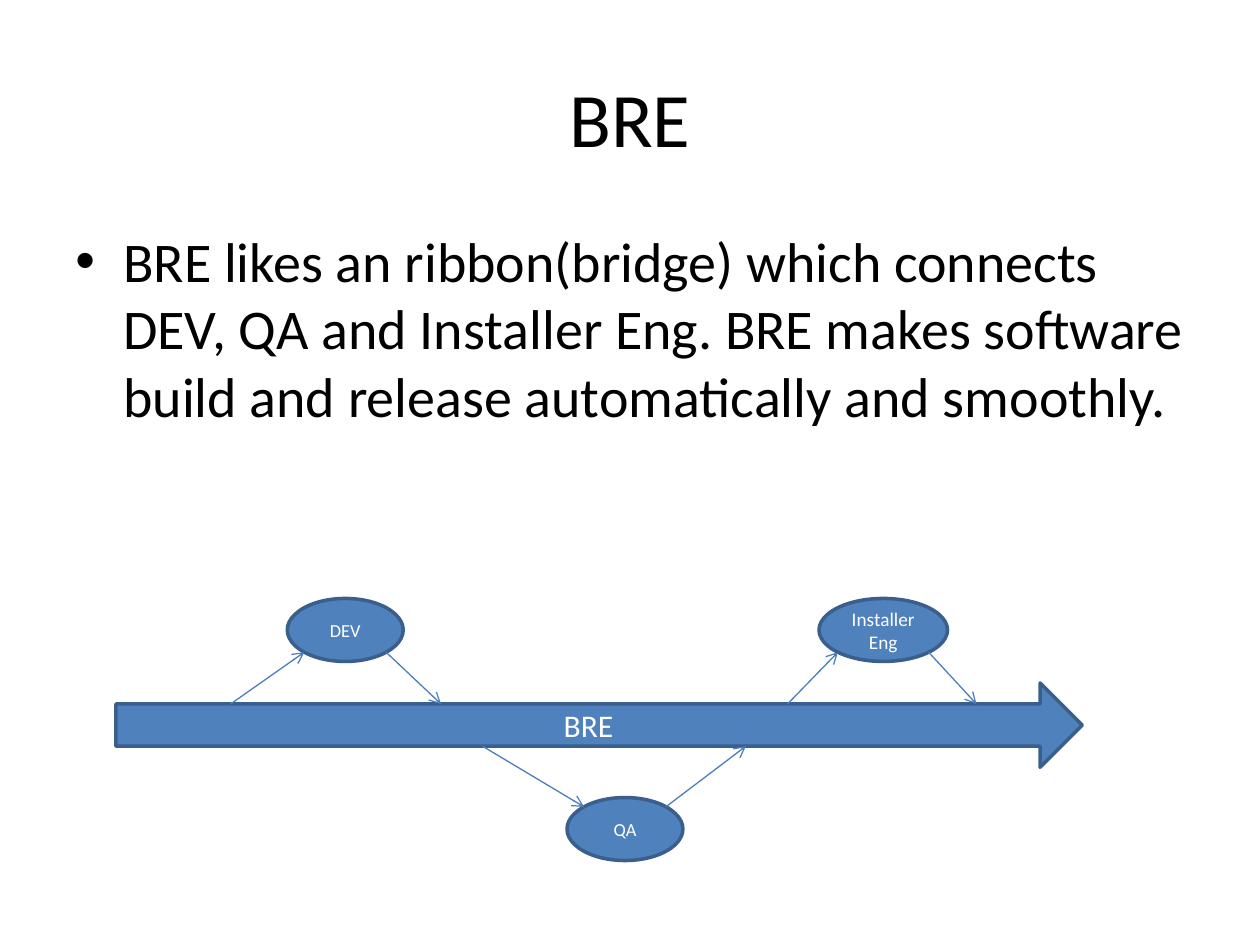
from math import sqrt

from lxml.etree import SubElement
from pptx import Presentation
from pptx.dml.color import RGBColor
from pptx.enum.shapes import MSO_CONNECTOR, MSO_SHAPE
from pptx.enum.text import MSO_ANCHOR, PP_ALIGN
from pptx.oxml.ns import qn
from pptx.util import Inches, Pt

COLORS = {
    "text": "000000",
    "label": "FFFFFF",
    "fill": "4F81BD",
    "outline": "3A5F8C",
    "link": "4B7EBC",
}


def color(name):
    return RGBColor.from_string(COLORS[name])


class SlideBuilder:
    """Holds the text style and the slide being filled."""

    font_name = "Calibri"
    line_width = 2
    link_width = 0.75

    def __init__(self, slide):
        self.slide = slide

    def set_text(self, shape, text, size, color_name,
                 align=PP_ALIGN.CENTER, anchor=MSO_ANCHOR.MIDDLE):
        frame = shape.text_frame
        for name, value in {"word_wrap": True, "vertical_anchor": anchor}.items():
            setattr(frame, name, value)
        paragraph = frame.paragraphs[0]
        paragraph.alignment = align
        run = paragraph.add_run()
        run.text = text
        for name, value in {"name": self.font_name, "size": Pt(size)}.items():
            setattr(run.font, name, value)
        run.font.color.rgb = color(color_name)
        return paragraph

    def text(self, box, text, size, **layout):
        shape = self.slide.shapes.add_textbox(*map(Inches, box))
        return self.set_text(shape, text, size, "text", **layout)

    def bullet(self, box, text, size):
        paragraph = self.text(box, text, size, align=PP_ALIGN.LEFT,
                              anchor=MSO_ANCHOR.TOP)
        props = paragraph._p.get_or_add_pPr()
        indent = Inches(0.38)
        for name, value in {"marL": indent, "indent": -indent}.items():
            props.set(name, str(value))
        before = SubElement(props, qn("a:spcBef"))
        SubElement(before, qn("a:spcPct"), val="20000")
        SubElement(props, qn("a:buFont"), typeface="Arial")
        SubElement(props, qn("a:buChar"), char="•")

    def shape(self, kind, box, text, size):
        shape = self.slide.shapes.add_shape(kind, *map(Inches, box))
        shape.shadow.inherit = False
        shape.fill.solid()
        shape.fill.fore_color.rgb = color("fill")
        shape.line.color.rgb = color("outline")
        shape.line.width = Pt(self.line_width)
        self.set_text(shape, text, size, "label")

    def arrow(self, start, end):
        link = self.slide.shapes.add_connector(
            MSO_CONNECTOR.STRAIGHT, *map(Inches, start + end))
        link.line.color.rgb = color("link")
        link.line.width = Pt(self.link_width)
        props = link._element.spPr
        SubElement(props.find(qn("a:ln")), qn("a:tailEnd"), type="arrow")
        SubElement(props, qn("a:effectLst"))


def main():
    deck = Presentation()
    deck.slide_width, deck.slide_height = Inches(10), Inches(7.5)
    builder = SlideBuilder(deck.slides.add_slide(deck.slide_layouts[6]))

    # Title and statement
    builder.text((0.5, 0.3, 9, 1.25), "BRE", 44)
    builder.bullet(
        (0.5, 1.75, 9, 4.95),
        "BRE likes an ribbon(bridge) which connects DEV, QA and Installer Eng. "
        "BRE makes software build and release automatically and smoothly.", 32)

    # Ribbon: its shaft is the middle half of the arrow
    ribbon_top, ribbon_height = 5.42, 0.67
    shaft_top = ribbon_top + ribbon_height / 4
    shaft_bottom = ribbon_top + ribbon_height * 3 / 4
    builder.shape(MSO_SHAPE.RIGHT_ARROW,
                  (0.92, ribbon_top, 7.67, ribbon_height), "BRE", 18)

    # Teams: label, left, top, width, text size, where work leaves and rejoins
    teams = [
        ("DEV", 2.28, 4.75, 0.92, 10.5, 1.83, 3.5),
        ("QA", 4.5, 6.33, 0.92, 10.5, 3.83, 5.92),
        ("Installer Eng", 6.5, 4.75, 1.02, 11, 6.25, 7.75),
    ]
    team_height = 0.5
    corner = (1 - sqrt(0.5)) / 2  # inset of an ellipse's diagonal points
    for label, left, top, width, size, leave, rejoin in teams:
        builder.shape(MSO_SHAPE.OVAL, (left, top, width, team_height), label, size)
        above = top < ribbon_top
        shaft = shaft_top if above else shaft_bottom
        touch = top + team_height * (1 - corner if above else corner)
        builder.arrow((leave, shaft), (left + width * corner, touch))
        builder.arrow((left + width * (1 - corner), touch), (rejoin, shaft))

    deck.save("out.pptx")


if __name__ == "__main__":
    main()
